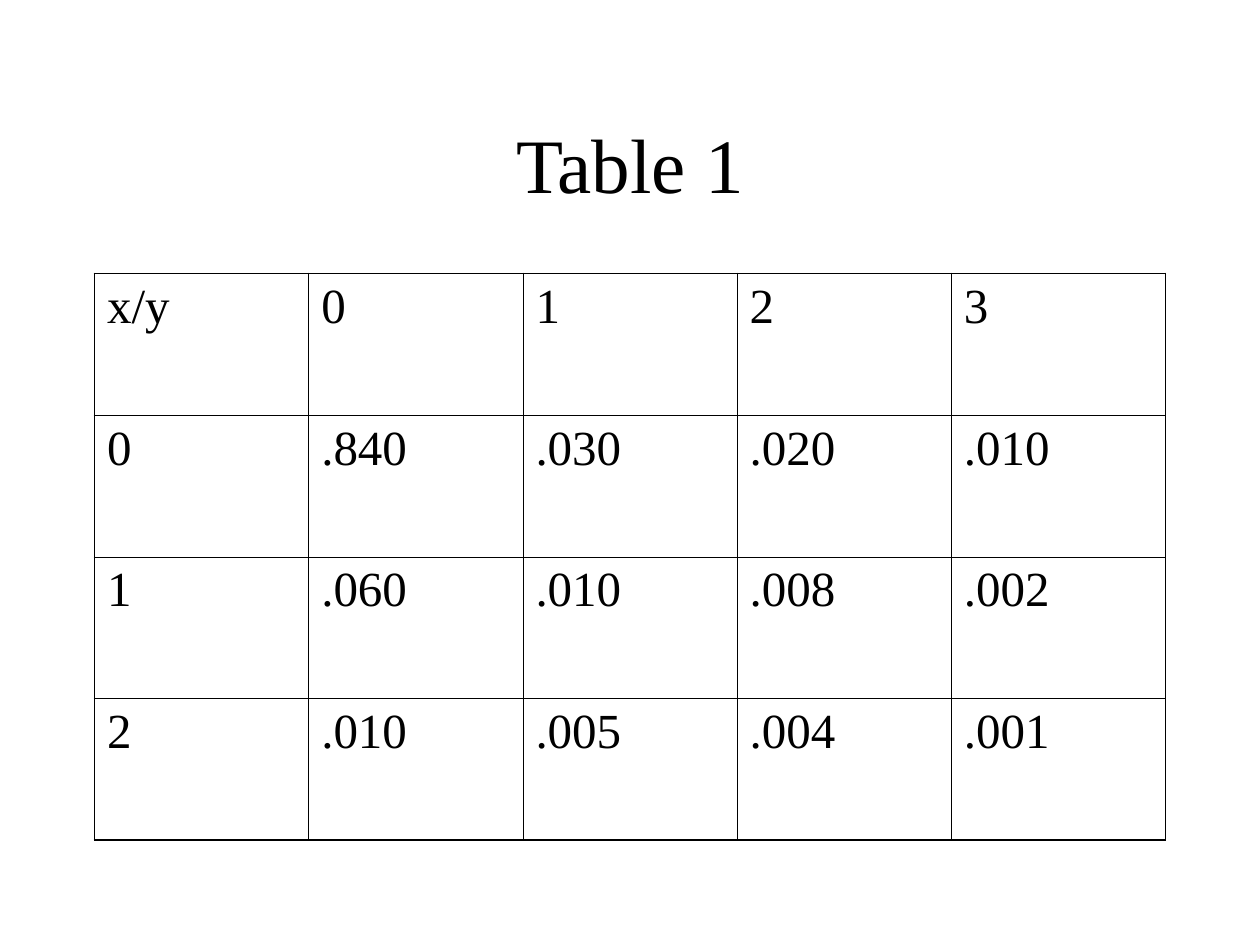
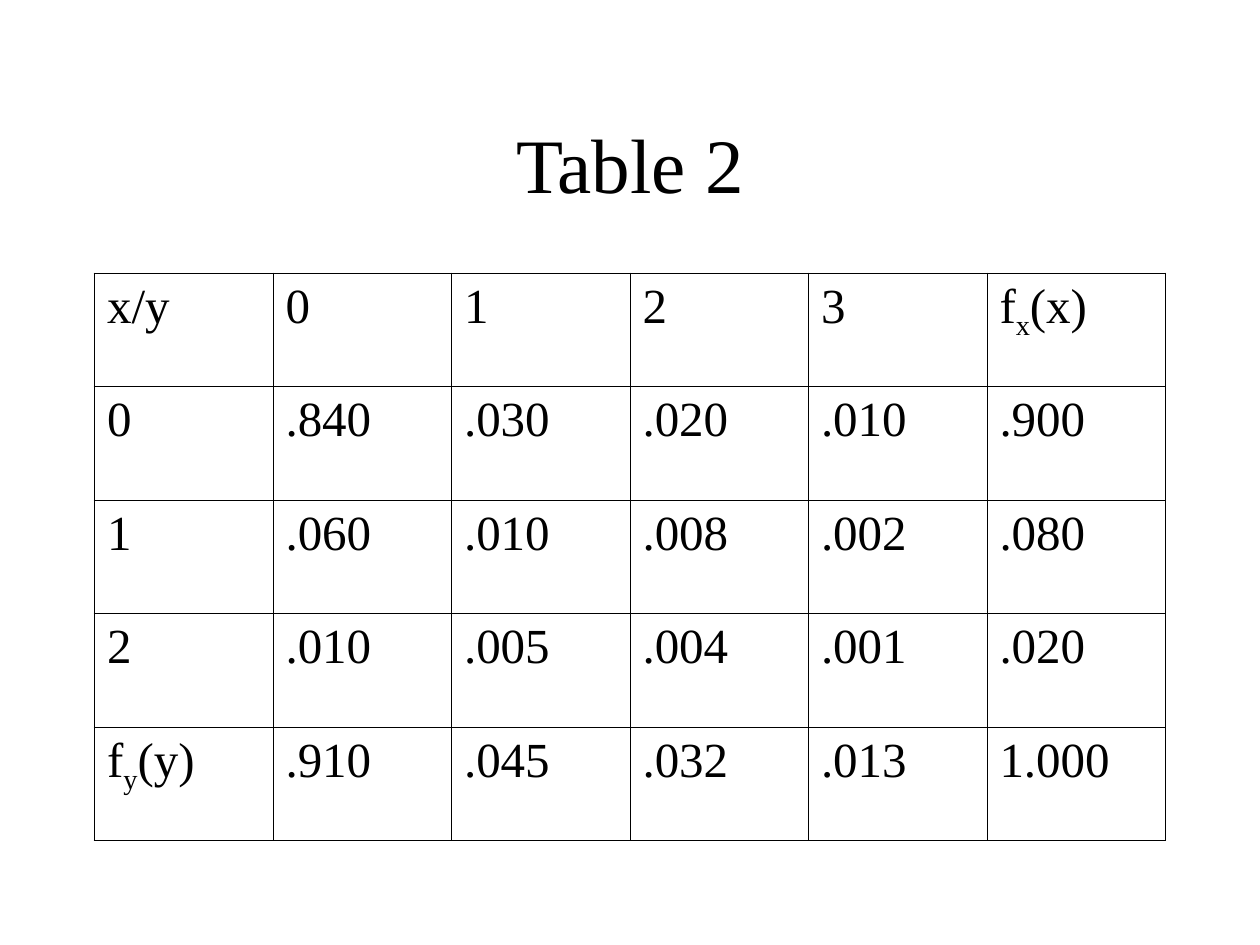
"""Build two slides tabulating a joint distribution and its marginals."""
import pptx
import pptx.dml.color
import pptx.enum.text
import pptx.oxml.ns
import pptx.util
from lxml import etree

Inches = pptx.util.Inches
Pt = pptx.util.Pt


def rgb(value):
    return pptx.dml.color.RGBColor.from_string(value)


class Deck:
    FONT = "Times New Roman"
    INK = "000000"
    LEFT, WIDTH = Inches(0.75), Inches(8.5)
    TITLE_TOP, TITLE_HEIGHT = Inches(0.67), Inches(1.25)
    TABLE_TOP, TABLE_HEIGHT = Inches(2.17), Inches(4.5)
    INNER, OUTER = Pt(0.45), Pt(1.08)

    def __init__(self):
        self.prs = pptx.Presentation()
        self.prs.slide_width = Inches(10)
        self.prs.slide_height = Inches(7.5)
        self.s = None

    def run(self, p, text, size, baseline=0):
        r = p.add_run()
        r.text = text
        r.font.name = self.FONT
        r.font.size = Pt(size)
        r.font.color.rgb = rgb(self.INK)
        if baseline:
            r.font._element.set("baseline", str(baseline * 1000))

    def slide(self, title):
        self.s = self.prs.slides.add_slide(self.prs.slide_layouts[5])
        sp = self.s.shapes.title
        sp.left, sp.top = self.LEFT, self.TITLE_TOP
        sp.width, sp.height = self.WIDTH, self.TITLE_HEIGHT
        tf = sp.text_frame
        tf.vertical_anchor = pptx.enum.text.MSO_ANCHOR.MIDDLE
        p = tf.paragraphs[0]
        p.alignment = pptx.enum.text.PP_ALIGN.CENTER
        self.run(p, title, 44)

    def border(self, cell, side, width):
        qn = pptx.oxml.ns.qn
        tcPr = cell._tc.get_or_add_tcPr()
        ln = etree.SubElement(tcPr, qn(f"a:ln{side}"), w=str(width))
        fill = etree.SubElement(ln, qn("a:solidFill"))
        etree.SubElement(fill, qn("a:srgbClr"), val=self.INK)

    def table(self, rows):
        n_rows, n_cols = len(rows), len(rows[0])
        table = self.s.shapes.add_table(
            n_rows, n_cols, self.LEFT, self.TABLE_TOP, self.WIDTH, self.TABLE_HEIGHT
        ).table
        table.first_row = table.horz_banding = False
        for i, row in enumerate(rows):
            for j, parts in enumerate(row):
                cell = table.cell(i, j)
                edges = {"L": j == 0, "R": j == n_cols - 1,
                         "T": i == 0, "B": i == n_rows - 1}
                for side, outer in edges.items():
                    self.border(cell, side, self.OUTER if outer else self.INNER)
                cell.fill.background()
                self.cell_text(cell, parts)

    def cell_text(self, cell, parts):
        """Write a string, or a (base, subscript, rest) triple."""
        if isinstance(parts, str):
            parts = (parts,)
        p = cell.text_frame.paragraphs[0]
        for k, text in enumerate(parts):
            self.run(p, text, 28, -25 if k == 1 else 0)


def main():
    joint = [
        ["x/y", "0", "1", "2", "3"],
        ["0", ".840", ".030", ".020", ".010"],
        ["1", ".060", ".010", ".008", ".002"],
        ["2", ".010", ".005", ".004", ".001"],
    ]
    x_marginal = [("f", "x", "(x)"), ".900", ".080", ".020"]
    y_marginal = [("f", "y", "(y)"), ".910", ".045", ".032", ".013", "1.000"]

    deck = Deck()
    deck.slide("Table 1")
    deck.table(joint)
    deck.slide("Table 2")
    deck.table([row + [total] for row, total in zip(joint, x_marginal)] + [y_marginal])
    deck.prs.save("out.pptx")


if __name__ == "__main__":
    main()
